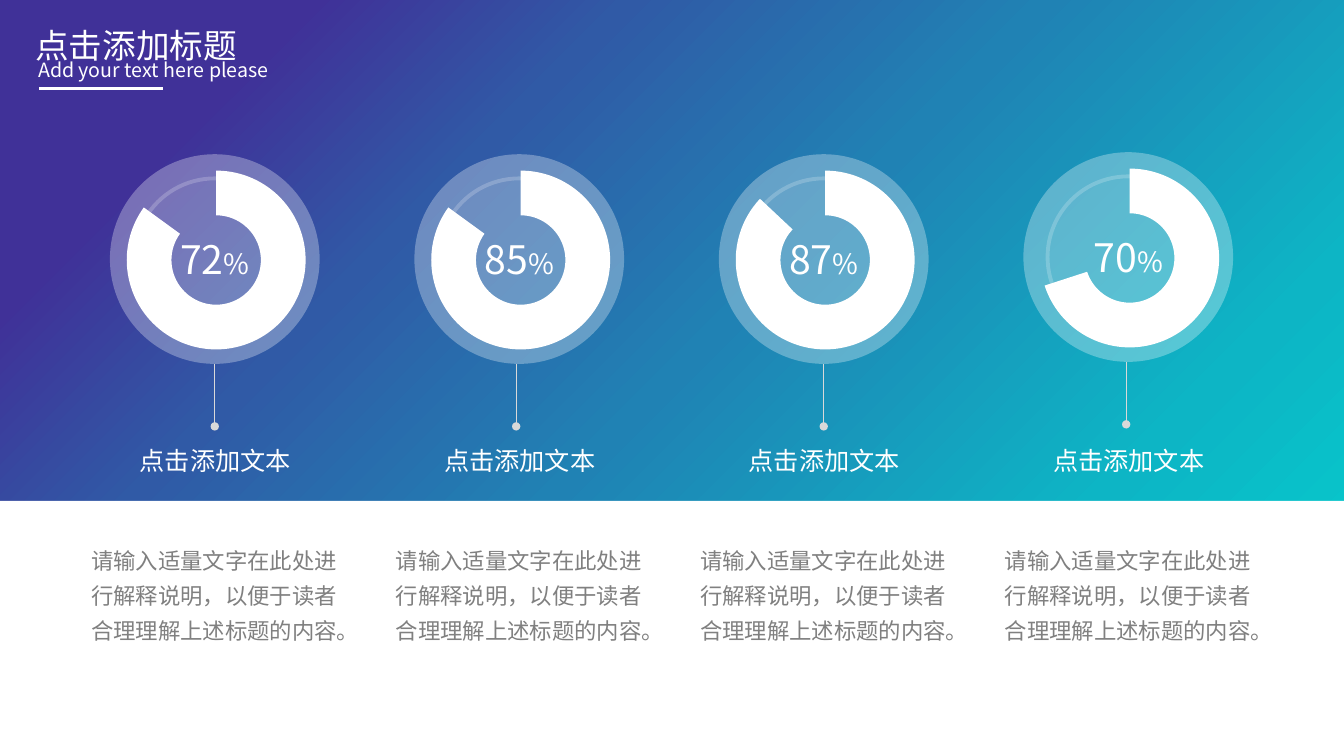
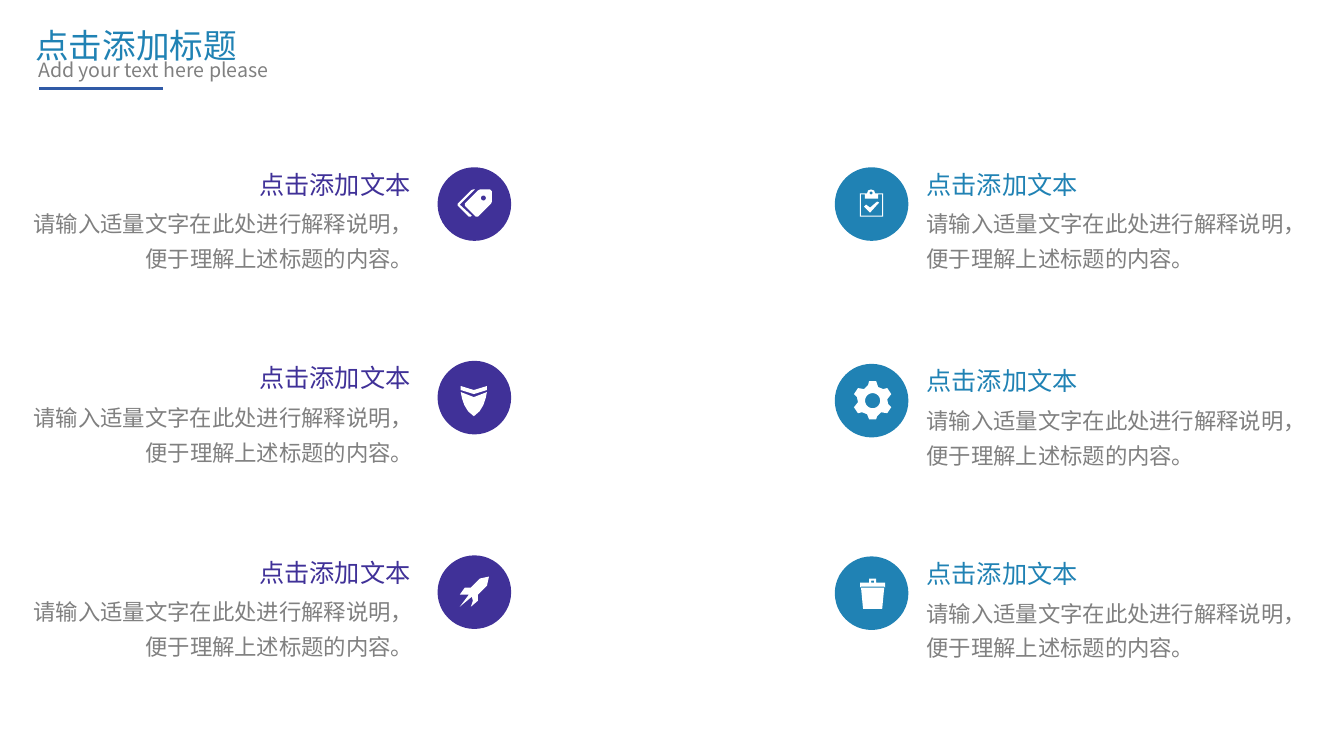
import copy
import math

import pptx
import pptx.chart.data
import pptx.dml.color
import pptx.enum.chart
import pptx.enum.shapes
import pptx.enum.text
import pptx.oxml
import pptx.oxml.ns
import pptx.util
from lxml import etree

Inches = pptx.util.Inches
Pt = pptx.util.Pt
qn = pptx.oxml.ns.qn
ALIGN = pptx.enum.text.PP_ALIGN
SHAPE = pptx.enum.shapes.MSO_SHAPE

FONT = "Noto Sans CJK SC"
WHITE, GRAY, SILVER = "FFFFFF", "808080", "D9D9D9"
PURPLE, NAVY, BLUE, TEAL, AQUA = "403198", "305AA6", "2082B4", "0DB5C5", "03D3CF"
BACKGROUND_STOPS = [(15, PURPLE), (30, NAVY), (50, BLUE), (76, TEAL), (100, AQUA)]
TITLE_STOPS = [(13, TEAL), (40, BLUE), (65, NAVY), (81, PURPLE)]

TITLE = "点击添加标题"
SUBTITLE = "Add your text here please"
HEADING = "点击添加文本"
GAUGE_TEXT = "请输入适量文字在此处进行解释说明，以便于读者合理理解上述标题的内容。"
FEATURE_TEXT = "请输入适量文字在此处进行解释说明，便于理解上述标题的内容。"

GAUGES = [("72", 85, 0, 1.04), ("85", 85, 0, 1.01), ("87", 87, 0, 1.04), ("70", 70, -0.02, 1.02)]


def circle(center_x, center_y, radius):
    """Return the points of a round outline."""
    angles = [math.tau * step / 24 for step in range(24)]
    return [(center_x + radius * math.cos(angle), center_y + radius * math.sin(angle)) for angle in angles]


TAGS = [
    [(52, 22), (42, 22), (40, 23), (27, 36), (27, 38), (38, 49), (40, 49), (53, 36), (54, 34), (54, 24)],
    circle(45.5, 30.5, 2.5),
    [(22, 37), (37, 22), (35, 22), (33, 23), (20, 36), (20, 38), (31, 49), (33, 49), (34, 48)],
]
SHIELD = [
    [(49, 25), (36, 29), (23, 25), (23, 29), (36, 33), (49, 29)],
    [(23, 31), (24.2, 37), (26.5, 43.8), (30.3, 50.1), (36, 55),
     (41.7, 50.1), (45.5, 43.8), (47.8, 37), (49, 31), (36, 36)],
]
ROCKET = [
    [(42, 23), (33, 32), (27, 32), (22, 39), (31, 39), (22, 51), (34, 41),
     (35, 45), (33, 51), (40, 45), (40, 39), (49, 30), (51, 21)],
]
CLIPBOARD = [
    [(48, 26), (40, 26), (39, 23), (36, 22), (33, 23), (32, 26), (25, 26), (25, 49), (48, 49)],
    circle(36, 25.5, 1.5),
    [(47, 48), (26, 48), (26, 27), (30, 27), (30, 31), (43, 31), (43, 27), (47, 27)],
    [(35, 45), (29, 39), (31, 37), (35, 40), (42, 34), (44, 35)],
]
GEAR = [
    [(53, 40), (52, 35), (56, 30), (52, 24), (48, 25), (43, 23), (41, 17), (34, 17), (33, 21),
     (29, 25), (23, 24), (19, 30), (22, 33), (23, 38), (19, 43), (23, 49), (27, 48), (32, 50),
     (34, 55), (41, 55), (42, 52), (46, 48), (52, 49), (56, 43)],
    circle(37.5, 36.5, 7.5),
]
TRASH = [
    [(28, 52), (47, 52), (49, 31), (26, 31)],
    [(41, 26), (41, 22), (34, 22), (34, 26), (25, 26), (25, 31), (26, 30), (49, 30), (50, 31), (50, 26)],
    [(39, 26), (36, 26), (36, 24), (39, 24)],
]

LEFT_FEATURES = [(1.66, TAGS), (3.58, SHIELD), (5.51, ROCKET)]
RIGHT_FEATURES = [(1.66, CLIPBOARD), (3.61, GEAR), (5.52, TRASH)]


def rgb(color):
    """Turn a hex string into a colour."""
    return pptx.dml.color.RGBColor.from_string(color)


def set_alpha(shape, percent):
    """Make the colours of a shape partly transparent."""
    for color in shape.element.spPr.iter(qn("a:srgbClr")):
        etree.SubElement(color, qn("a:alpha")).set("val", str(percent * 1000))


def set_gradient(fill, element, stops, angle):
    """Give a fill within an element a linear gradient."""
    fill.gradient()
    fill.gradient_angle = angle
    stop_list = next(element.iter(qn("a:gsLst")))
    stop_list.clear()
    for position, color in stops:
        stop = etree.SubElement(stop_list, qn("a:gs"), pos=str(position * 1000))
        etree.SubElement(stop, qn("a:srgbClr"), val=color)


def set_east_asian_font(shape):
    """Use each Latin typeface for East Asian text too."""
    for latin in list(shape.element.iter(qn("a:latin"))):
        east_asian = copy.deepcopy(latin)
        east_asian.tag = qn("a:ea")
        latin.addnext(east_asian)


def write(shape, text, size, color, align=ALIGN.LEFT, spacing=None):
    """Write one formatted paragraph and return it."""
    frame = shape.text_frame
    frame.word_wrap = True
    frame.auto_size = pptx.enum.text.MSO_AUTO_SIZE.NONE
    frame.vertical_anchor = pptx.enum.text.MSO_ANCHOR.TOP
    paragraph = frame.paragraphs[0]
    paragraph.text = text
    paragraph.alignment = align
    if spacing:
        paragraph.line_spacing = spacing
    paragraph.font.name = FONT
    paragraph.font.size = Pt(size)
    paragraph.font.color.rgb = rgb(color)
    set_east_asian_font(shape)
    return paragraph


def add_text(slide, left, top, width, height, *style):
    """Add a text box and return its paragraph."""
    box = slide.shapes.add_textbox(Inches(left), Inches(top), Inches(width), Inches(height))
    return write(box, *style)


def add_solid(slide, kind, left, top, width, height, color):
    """Add a shape filled with one colour and no outline."""
    shape = slide.shapes.add_shape(kind, Inches(left), Inches(top), Inches(width), Inches(height))
    shape.shadow.inherit = False
    shape.fill.solid()
    shape.fill.fore_color.rgb = rgb(color)
    shape.line.fill.background()
    return shape


def add_line(slide, start, end, color, width):
    """Add a straight line without a shadow."""
    line = slide.shapes.add_connector(
        pptx.enum.shapes.MSO_CONNECTOR.STRAIGHT, *[Inches(value) for value in (*start, *end)])
    line.line.color.rgb = rgb(color)
    line.line.width = Pt(width)
    etree.SubElement(line.element.spPr, qn("a:effectLst"))
    return line


def add_header(slide, title_color, subtitle_color, rule_color):
    """Place the title, its subtitle and the rule below."""
    title = slide.shapes.title
    title.left, title.top, title.width, title.height = [Inches(value) for value in (0.25, 0.2, 2.38, 0.51)]
    write(title, TITLE, 24, title_color)
    add_text(slide, 0.28, 0.53, 2.68, 0.34, SUBTITLE, 14, subtitle_color)
    add_line(slide, (0.39, 0.88), (1.62, 0.88), rule_color, 2)


def add_doughnut(slide, left, top, value):
    """Add a doughnut chart whose first part is white and second part empty."""
    data = pptx.chart.data.CategoryChartData()
    data.categories = ["1", "2"]
    data.add_series("Series 1", (value, 100 - value))
    chart = slide.shapes.add_chart(
        pptx.enum.chart.XL_CHART_TYPE.DOUGHNUT,
        Inches(left), Inches(top), Inches(3.07), Inches(2.04), data).chart
    chart.has_legend = False
    chart.has_title = False
    chart.font.name = FONT
    chart.font.size = Pt(10)
    chart.font.color.rgb = rgb("000000")
    plot = chart.plots[0]
    plot.vary_by_categories = False
    filled, empty = [plot.series[0].points[index].format for index in range(2)]
    filled.fill.solid()
    filled.fill.fore_color.rgb = rgb(WHITE)
    empty.fill.background()
    for part in (filled, empty):
        part.line.fill.background()
    chart_xml = chart.element
    next(chart_xml.iter(qn("c:holeSize"))).set("val", "85")
    plot_area = next(chart_xml.iter(qn("c:plotArea")))
    for old_layout in plot_area.findall(qn("c:layout")):
        plot_area.remove(old_layout)
    layout = etree.Element(qn("c:layout"))
    plot_area.insert(0, layout)
    manual = etree.SubElement(layout, qn("c:manualLayout"))
    settings = [("layoutTarget", "inner"), ("xMode", "edge"), ("yMode", "edge"),
                ("x", "0.21"), ("y", "0.07"), ("w", "0.58"), ("h", "0.87")]
    for name, setting in settings:
        etree.SubElement(manual, qn("c:" + name), val=setting)


def add_gauge(slide, left, top, label, value, stem):
    """Place a percentage disc with its chart and stem."""
    set_alpha(add_solid(slide, SHAPE.OVAL, left, top, 2.08, 2.08, WHITE), 30)
    ring = add_solid(slide, SHAPE.OVAL, left + 0.24, top + 0.24, 1.6, 1.6, WHITE)
    ring.fill.background()
    ring.line.color.rgb = rgb(WHITE)
    ring.line.width = Pt(2.75)
    set_alpha(ring, 20)
    add_doughnut(slide, left - 0.48, top + 0.02, value)
    number = add_text(slide, left + 0.53, top + 0.76, 1.02, 0.57, label, 28, WHITE, ALIGN.CENTER)
    percent = number.add_run()
    percent.text = "%"
    percent.font.size = Pt(20)
    line = add_line(slide, (left + stem, top + 2.08), (left + stem, top + 2.7), SILVER, 0.5)
    etree.SubElement(line.line._get_or_add_ln(), qn("a:tailEnd"), type="oval")


def add_icon(slide, left, top, outlines):
    """Draw a white icon from outlines given in hundredths of an inch."""
    builder = None
    for outline in outlines:
        points = [(x * 100, y * 100) for x, y in outline]
        if builder is None:
            builder = slide.shapes.build_freeform(*points[0], scale=Inches(1) / 10000)
        else:
            builder.move_to(*points[0])
        builder.add_line_segments(points[1:], close=True)
    icon = builder.convert_to_shape(Inches(left), Inches(top))
    icon.shadow.inherit = False
    icon.fill.solid()
    icon.fill.fore_color.rgb = rgb(WHITE)
    icon.line.fill.background()


def add_feature(slide, left, top, text_offset, align, color, outlines):
    """Place an icon disc with a heading and text beside it."""
    add_solid(slide, SHAPE.OVAL, left, top, 0.73, 0.73, color)
    add_icon(slide, left, top, outlines)
    text_left = left + text_offset
    add_text(slide, text_left, top - 0.03, 3.96, 0.4, HEADING, 18, color, align)
    add_text(slide, text_left, top + 0.3, 3.99, 0.8, FEATURE_TEXT, 16, GRAY, align, 1.3)


def build_gauge_slide(slide):
    """Build the slide with four percentage gauges."""
    set_gradient(slide.background.fill, slide.element, BACKGROUND_STOPS, 315)
    add_solid(slide, SHAPE.RECTANGLE, 0, 4.97, 13.33, 2.53, WHITE)
    add_header(slide, WHITE, WHITE, WHITE)
    for column, (label, value, shift, stem) in enumerate(GAUGES):
        left = 1.09 + column * 3.02
        add_gauge(slide, left, 1.53 + shift, label, value, stem)
        add_text(slide, left + 0.11, 4.37, 1.87, 0.4, HEADING, 18, WHITE, ALIGN.CENTER)
        add_text(slide, left - 0.33, 5.3, 2.73, 1.12, GAUGE_TEXT, 16, GRAY, ALIGN.CENTER, 1.3)


def build_feature_slide(slide):
    """Build the slide with two columns of icon features."""
    add_header(slide, BLUE, GRAY, NAVY)
    title = slide.shapes.title
    run = title.text_frame.paragraphs[0].runs[0]
    set_gradient(run.font.fill, title.element, TITLE_STOPS, 135)
    for top, outlines in LEFT_FEATURES:
        add_feature(slide, 4.34, top, -4.13, ALIGN.RIGHT, PURPLE, outlines)
    for top, outlines in RIGHT_FEATURES:
        add_feature(slide, 8.28, top, 0.81, ALIGN.LEFT, BLUE, outlines)


def main():
    """Build and save the presentation."""
    presentation = pptx.Presentation()
    presentation.slide_width = Inches(13.33)
    presentation.slide_height = Inches(7.5)
    for build in (build_gauge_slide, build_feature_slide):
        build(presentation.slides.add_slide(presentation.slide_layouts[5]))
    presentation.save("out.pptx")


if __name__ == "__main__":
    main()
